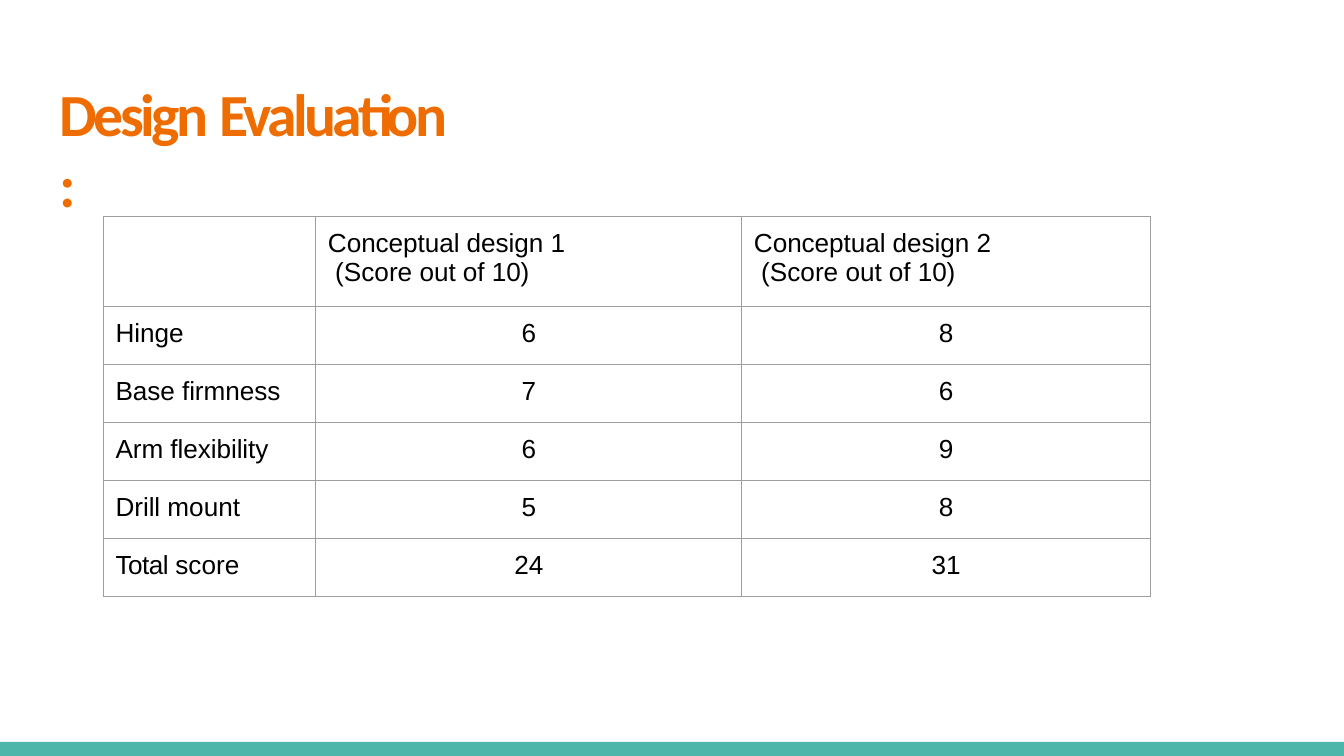
from lxml.etree import SubElement
from pptx import Presentation
from pptx.dml.color import RGBColor
from pptx.enum.shapes import MSO_SHAPE as Shape
from pptx.enum.text import PP_ALIGN as Align
from pptx.oxml.ns import qn
from pptx.util import Inches, Pt

COLORS = {"title": "EE6C00", "text": "000000", "border": "9E9E9E", "band": "4DB6AB"}
TITLE = [("Design ", -1.8), ("Evaluation", -1.9), (" :", -0.7)]
HEADERS = [
    [],
    [("Conceptual design ", -0.05), ("1\v (Score ", 0), ("out of 10)", -0.05)],
    [("Conceptual design ", -0.05), ("2\v (Score ", 0), ("out of 10)", -0.05)],
]
SCORES = [
    ([("Hinge", -0.05)], 6, 8),
    ([("Base firmness", -0.05)], 7, 6),
    ([("Arm flexibility", -0.05)], 6, 9),
    ([("Drill ", -0.05), ("mount", 0)], 5, 8),
    ([("Total ", -0.3), ("score", 0)], 24, 31),
]
COLUMN_WIDTHS = [1.58, 3.17, 3.04]
TABLE_HEIGHT, HEADER_HEIGHT = 2.83, 0.67
SCORE_HEIGHT = (TABLE_HEIGHT - HEADER_HEIGHT) / len(SCORES)
ROW_HEIGHTS = [HEADER_HEIGHT] + [SCORE_HEIGHT] * len(SCORES)
SLIDE_WIDTH = 10
SLIDE_HEIGHT = SLIDE_WIDTH * 9 / 16
BAND_TOP = 5.52


def color(name):
    return RGBColor.from_string(COLORS[name])


def write(paragraph, pieces, font_name, size, color_name, space_before, indent=0):
    paragraph.space_before = Pt(space_before)
    paragraph._p.get_or_add_pPr().set("marL", str(Inches(indent)))
    font = paragraph.font
    font.name, font.size = font_name, Pt(size)
    font.color.rgb = color(color_name)
    for text, spacing in pieces:
        words, *after_break = text.split("\v")
        add_run(paragraph, words, spacing)
        for words in after_break:
            paragraph.add_line_break()
            add_run(paragraph, words, spacing)


def add_run(paragraph, words, spacing):
    run = paragraph.add_run()
    run.text = words
    run._r.get_or_add_rPr().set("spc", str(round(spacing * 100)))


def set_borders(cell):
    properties = cell._tc.get_or_add_tcPr()
    for position, side in enumerate(("lnL", "lnR", "lnT", "lnB")):
        line = properties.makeelement(qn(f"a:{side}"), {"w": str(Pt(0.75))})
        fill = SubElement(line, qn("a:solidFill"))
        SubElement(fill, qn("a:srgbClr"), val=COLORS["border"])
        properties.insert(position, line)


def add_band(slide):
    band = slide.shapes.add_shape(
        Shape.RECTANGLE, 0, Inches(BAND_TOP),
        Inches(SLIDE_WIDTH), Inches(SLIDE_HEIGHT - BAND_TOP))
    band.shadow.inherit = False
    band.fill.solid()
    band.fill.fore_color.rgb = color("band")
    band.line.fill.background()


def add_title(slide):
    box = slide.shapes.add_textbox(Inches(0.42), Inches(0.55), Inches(3.11), Inches(0.57))
    frame = box.text_frame
    frame.word_wrap = True
    frame.margin_left = frame.margin_bottom = 0
    frame.margin_right = Inches(0.2)
    frame.margin_top = Inches(0.02)
    paragraph = frame.paragraphs[0]
    write(paragraph, TITLE, "Calibri", 32, "title", 1.4, 0.02)
    paragraph.font.bold = True


def add_score_table(slide):
    rows = [HEADERS]
    for label, *scores in SCORES:
        rows.append([label] + [[(str(score), -0.05 if score > 9 else 0)] for score in scores])
    table = slide.shapes.add_table(
        len(rows), len(COLUMN_WIDTHS), Inches(0.77), Inches(1.61),
        Inches(sum(COLUMN_WIDTHS)), Inches(TABLE_HEIGHT)).table
    table.first_row = table.horz_banding = False
    for column, width in zip(table.columns, COLUMN_WIDTHS):
        column.width = Inches(width)
    for row, height in zip(table.rows, ROW_HEIGHTS):
        row.height = Inches(height)
    for row_index, row in enumerate(rows):
        for column_index, pieces in enumerate(row):
            cell = table.cell(row_index, column_index)
            cell.margin_left = cell.margin_right = cell.margin_bottom = 0
            cell.margin_top = Inches(0.09)
            cell.fill.background()
            set_borders(cell)
            is_score = row_index > 0 and column_index > 0
            paragraph = cell.text_frame.paragraphs[0]
            paragraph.alignment = Align.CENTER if is_score else Align.LEFT
            write(paragraph, pieces, "Arial", 14, "text", 6.2, 0 if is_score else 0.09)


def main():
    presentation = Presentation()
    presentation.slide_width = Inches(SLIDE_WIDTH)
    presentation.slide_height = Inches(SLIDE_HEIGHT)
    slide = presentation.slides.add_slide(presentation.slide_layouts[6])
    add_band(slide)
    add_title(slide)
    add_score_table(slide)
    presentation.save("out.pptx")


if __name__ == "__main__":
    main()
